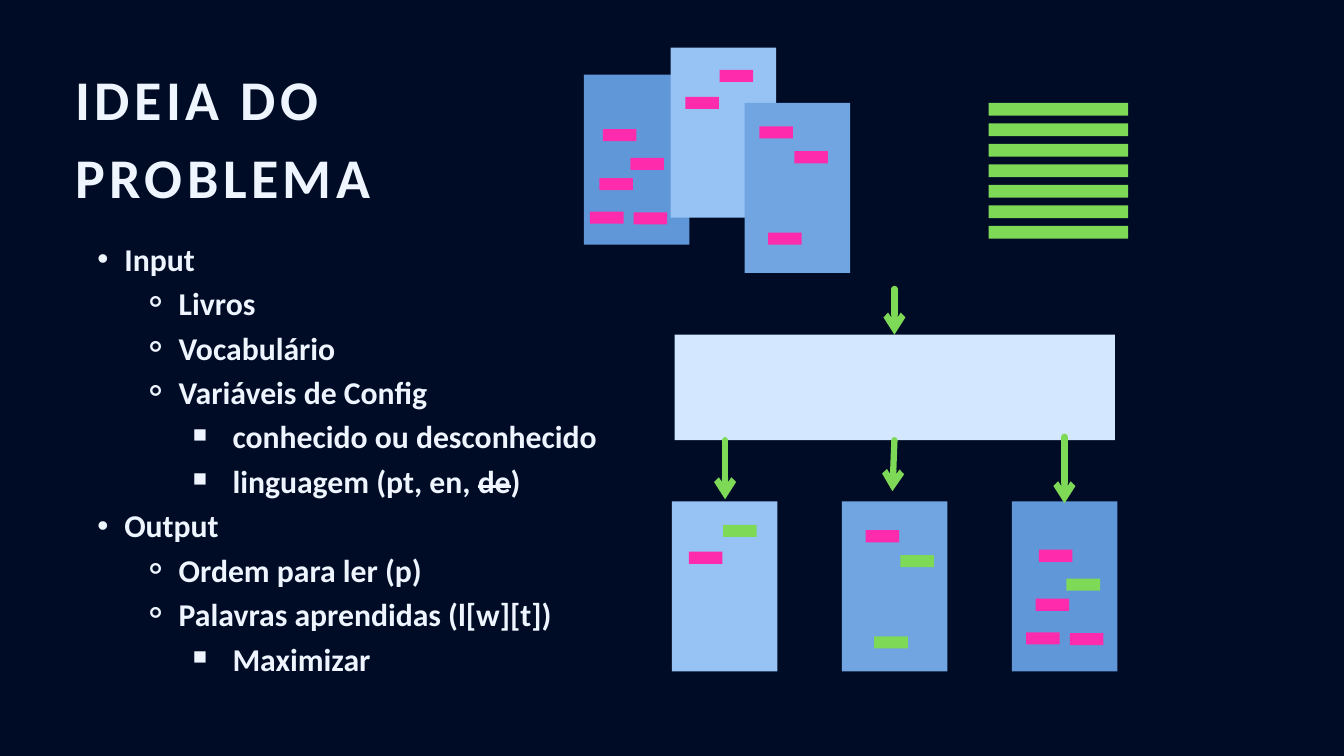
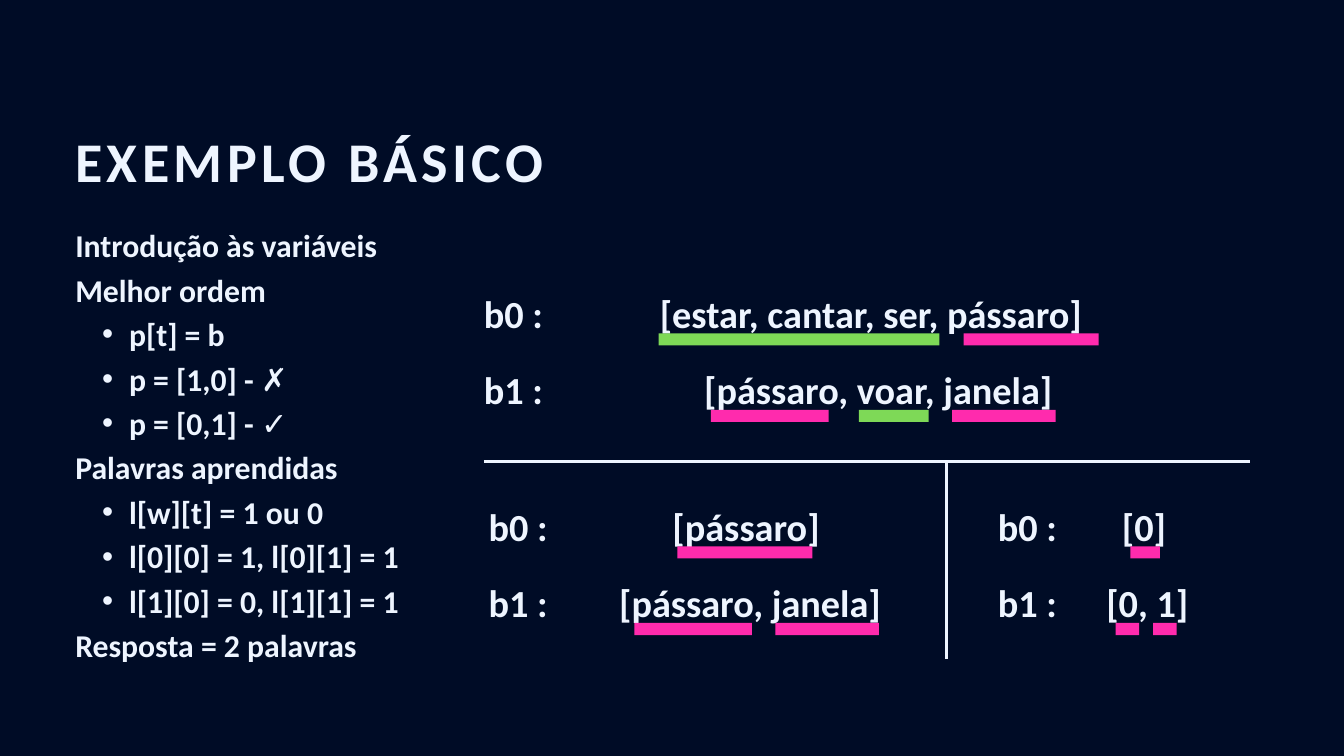
from collections import namedtuple
from dataclasses import dataclass

import lxml.etree
import pptx
import pptx.dml.color
import pptx.enum.shapes
import pptx.enum.text
import pptx.oxml.ns
import pptx.util

Inches = pptx.util.Inches
Pt = pptx.util.Pt
qn = pptx.oxml.ns.qn
ALIGN = pptx.enum.text.PP_ALIGN

Box = namedtuple("Box", "left top width height")
TextStyle = namedtuple("TextStyle", "size line_spacing run_format")
BulletStyle = namedtuple("BulletStyle", "symbol margin indent")


@dataclass(frozen=True)
class Theme:
    background: str = "000C26"
    text: str = "EEF5FF"
    known: str = "7ED957"
    unknown: str = "FF2BAD"
    book_dark: str = "5F97D8"
    book_mid: str = "71A5E1"
    book_light: str = "97C2F4"
    solver: str = "D3E7FF"
    font: str = "Calibri"
    title: TextStyle = TextStyle(60, 84, {"spc": "480"})
    body: TextStyle = TextStyle(34, 47.6, {})
    example: TextStyle = TextStyle(41, 57.4, {})
    arrow_width: float = 6.75
    rule_width: float = 3
    bar_height: float = 0.18


THEME = Theme()
BULLETS = {
    0: BulletStyle(None, 0, 0),
    1: BulletStyle("•", 0.8, -0.4),
    2: BulletStyle("⚬", 1.61, -0.54),
    3: BulletStyle("￭", 2.41, -0.6),
}

Book = namedtuple("Book", "color words learned")
WORD_WIDTH = 0.5
DARK_BOOK = Book(THEME.book_dark,
                 [(0.28, 0.81), (0.69, 1.24), (0.23, 1.54), (0.74, 2.05), (0.09, 2.04)], {1})
LIGHT_BOOK = Book(THEME.book_light, [(0.22, 0.73), (0.73, 0.33)], {1})
MID_BOOK = Book(THEME.book_mid, [(0.22, 0.35), (0.74, 0.72), (0.35, 1.93)], {1, 2})
BOOK_SIZE = (1.57, 2.53)

PROBLEM_OUTLINE = [
    (1, "Input"),
    (2, "Livros"),
    (2, "Vocabulário"),
    (2, "Variáveis de Config"),
    (3, "conhecido ou desconhecido"),
    (3, "linguagem (pt, en, ", ("de", {"strike": "sngStrike"}), ")"),
    (1, "Output"),
    (2, "Ordem para ler (p)"),
    (2, "Palavras aprendidas (l[w][t])"),
    (3, "Maximizar"),
]
EXAMPLE_OUTLINE = [
    (0, "Introdução às variáveis"),
    (0, "Melhor ordem"),
    (1, "p[t] = b"),
    (1, "p = [1,0] -", (" ✗", {"b": "0"})),
    (1, "p = [0,1] - ✓"),
    (0, "Palavras aprendidas"),
    (1, "l[w][t] = 1 ou 0"),
    (1, "l[0][0] = 1, l[0][1] = 1"),
    (1, "l[1][0] = 0, l[1][1] = 1"),
    (0, "Resposta = 2 palavras"),
]


def rgb(color):
    return pptx.dml.color.RGBColor.from_string(color)


def apply(target, values):
    for name, value in values.items():
        setattr(target, name, value)


def place(box):
    return [Inches(value) for value in box]


def set_bullet(paragraph, level):
    bullet = BULLETS[level]
    paragraph.level = level
    properties = paragraph._p.get_or_add_pPr()
    properties.set("marL", str(Inches(bullet.margin)))
    properties.set("indent", str(Inches(bullet.indent)))
    if bullet.symbol:
        lxml.etree.SubElement(properties, qn("a:buFont")).set("typeface", "Arial")
        lxml.etree.SubElement(properties, qn("a:buChar")).set("char", bullet.symbol)
    else:
        lxml.etree.SubElement(properties, qn("a:buNone"))


def write(holder, lines, style, align=ALIGN.LEFT):
    """Fill a text holder; each line is a level followed by its runs."""
    frame = holder.text_frame
    apply(frame, {
        "margin_left": 0, "margin_top": 0, "margin_right": 0, "margin_bottom": 0,
        "word_wrap": True,
        "auto_size": pptx.enum.text.MSO_AUTO_SIZE.NONE,
        "vertical_anchor": pptx.enum.text.MSO_ANCHOR.TOP,
    })
    for number, (level, *runs) in enumerate(lines):
        paragraph = frame.add_paragraph() if number else frame.paragraphs[0]
        apply(paragraph, {"alignment": align, "line_spacing": Pt(style.line_spacing),
                          "space_before": Pt(0), "space_after": Pt(0)})
        set_bullet(paragraph, level)
        for part in runs:
            words, extra = (part, {}) if isinstance(part, str) else part
            run = paragraph.add_run()
            run.text = words
            apply(run.font, {"name": THEME.font, "size": Pt(style.size), "bold": True})
            run.font.color.rgb = rgb(THEME.text)
            for name, value in {**style.run_format, **extra}.items():
                run._r.get_or_add_rPr().set(name, value)


def fill_placeholder(holder, box, lines, style):
    left, top, width, height = place(box)
    apply(holder, {"left": left, "top": top, "width": width, "height": height})
    write(holder, lines, style)


def add_content_slide(deck, title_box, title_lines, body_box, outline):
    slide = deck.slides.add_slide(deck.slide_layouts[1])
    fill_placeholder(slide.shapes.title, title_box,
                     [(0, line) for line in title_lines], THEME.title)
    fill_placeholder(slide.placeholders[1], body_box, outline, THEME.body)
    return slide


def add_block(slide, box, color):
    block = slide.shapes.add_shape(pptx.enum.shapes.MSO_SHAPE.RECTANGLE, *place(box))
    block.shadow.inherit = False
    block.fill.solid()
    block.fill.fore_color.rgb = rgb(color)
    block.line.fill.background()


def add_line(slide, start, end, color, width, arrow=False):
    line = slide.shapes.add_connector(
        pptx.enum.shapes.MSO_CONNECTOR.STRAIGHT, *place(start), *place(end))
    line.line.color.rgb = rgb(color)
    line.line.width = Pt(width)
    if arrow:
        outline = line.line._get_or_add_ln()
        outline.set("cap", "rnd")
        lxml.etree.SubElement(outline, qn("a:tailEnd")).set("type", "arrow")
    lxml.etree.SubElement(line._element.spPr, qn("a:effectLst"))


def add_book(slide, box, book, shift=(0, 0), show_learned=False):
    add_block(slide, box, book.color)
    for index, (x, y) in enumerate(book.words):
        learned = show_learned and index in book.learned
        word = Box(box.left + x + shift[0], box.top + y + shift[1],
                   WORD_WIDTH, THEME.bar_height)
        add_block(slide, word, THEME.known if learned else THEME.unknown)


def draw_input_books(slide, box):
    for x, y, book in [(0, 0.4, DARK_BOOK), (1.29, 0, LIGHT_BOOK), (2.39, 0.82, MID_BOOK)]:
        add_book(slide, Box(box.left + x, box.top + y, *BOOK_SIZE), book)


def draw_vocabulary(slide, box, entries=7, bar=0.19):
    step = (box.height - bar) / (entries - 1)
    for entry in range(entries):
        add_block(slide, Box(box.left, box.top + entry * step, box.width, bar), THEME.known)


def draw_solver(slide, box):
    """Draw the solver, the arrow into it and the ordered books it yields."""
    add_block(slide, box, THEME.solver)
    ordered = [(LIGHT_BOOK, (0.03, 0.02)), (MID_BOOK, (0.13, 0.08)), (DARK_BOOK, (0.12, -0.09))]
    for place_in_order, (book, shift) in enumerate(ordered):
        page = Box(box.left - 0.04 + 2.53 * place_in_order, box.top + 2.48, *BOOK_SIZE)
        add_book(slide, page, book, shift, show_learned=True)

    arrows = [((3.27, -0.68), (3.27, 0)), ((0.75, 1.57), (0.75, 2.45)),
              ((3.27, 1.57), (3.24, 2.33)), ((5.8, 1.52), (5.8, 2.51))]
    for arrow in arrows:
        start, end = [(box.left + x, box.top + y) for x, y in arrow]
        add_line(slide, start, end, THEME.known, THEME.arrow_width, arrow=True)


def draw_word_lists(slide, box, rows, list_left, list_width, nudge):
    """Draw labelled lists with coloured underlines, one row per book."""
    row_height = 0.76
    step = box.height - row_height
    for number, (words, underlines) in enumerate(rows):
        top = box.top + number * step
        label_box = Box(box.left, top, 0.99, row_height)
        list_box = Box(box.left + list_left + number * nudge, top, list_width, row_height)
        for text_box, text, align in [(label_box, f"b{number} :", ALIGN.LEFT),
                                      (list_box, words, ALIGN.CENTER)]:
            holder = slide.shapes.add_textbox(*place(text_box))
            write(holder, [(0, text)], THEME.example, align)
        for x, width, color in underlines:
            add_block(slide, Box(box.left + x, top + row_height, width, THEME.bar_height), color)


def draw_dividers(slide, box, split):
    middle = box.left + split
    for start, end in [((box.left, box.top), (box.left + box.width, box.top)),
                       ((middle, box.top), (middle, box.top + box.height))]:
        add_line(slide, start, end, THEME.text, THEME.rule_width)


def build_problem_slide(deck):
    slide = add_content_slide(deck, Box(1.12, 0.79, 8.15, 2.3), ["IDEIA DO", "PROBLEMA"],
                              Box(1.05, 3.47, 8.24, 6.54), PROBLEM_OUTLINE)
    draw_input_books(slide, Box(8.69, 0.71, 3.96, 3.35))
    draw_vocabulary(slide, Box(14.71, 1.53, 2.08, 2.02))
    draw_solver(slide, Box(10.04, 4.98, 6.55, 1.57))


def build_example_slide(deck):
    slide = add_content_slide(deck, Box(1.12, 1.72, 8.15, 1.14), ["EXEMPLO BÁSICO"],
                              Box(1.12, 3.27, 9, 6.54), EXAMPLE_OUTLINE)
    known, unknown = THEME.known, THEME.unknown
    all_words = [
        ("[estar, cantar, ser, pássaro]", [(2.6, 4.18, known), (7.14, 2.01, unknown)]),
        ("[pássaro, voar, janela]",
         [(3.38, 1.75, unknown), (5.58, 1.04, known), (6.97, 1.54, unknown)]),
    ]
    unknown_words = [
        ("[pássaro]", [(2.81, 2.01, unknown)]),
        ("[pássaro, janela]", [(2.17, 1.75, unknown), (4.27, 1.54, unknown)]),
    ]
    word_numbers = [
        ("[0]", [(1.97, 0.44, unknown)]),
        ("[0, 1]", [(1.75, 0.35, unknown), (2.31, 0.35, unknown)]),
    ]
    draw_word_lists(slide, Box(7.2, 4.2, 10.14, 1.9), all_words, 1.5, 8.53, 0.11)
    draw_word_lists(slide, Box(7.27, 7.37, 6.24, 1.9), unknown_words, 1.49, 4.69, 0.06)
    draw_word_lists(slide, Box(14.85, 7.37, 4.57, 1.9), word_numbers, -0.17, 4.69, 0.05)
    draw_dividers(slide, Box(7.2, 6.87, 11.4, 2.94), 6.89)


def main():
    deck = pptx.Presentation()
    apply(deck, {"slide_width": Inches(20), "slide_height": Inches(11.25)})
    backdrop = deck.slide_master.background.fill
    backdrop.solid()
    backdrop.fore_color.rgb = rgb(THEME.background)
    build_problem_slide(deck)
    build_example_slide(deck)
    deck.save("out.pptx")


if __name__ == "__main__":
    main()
